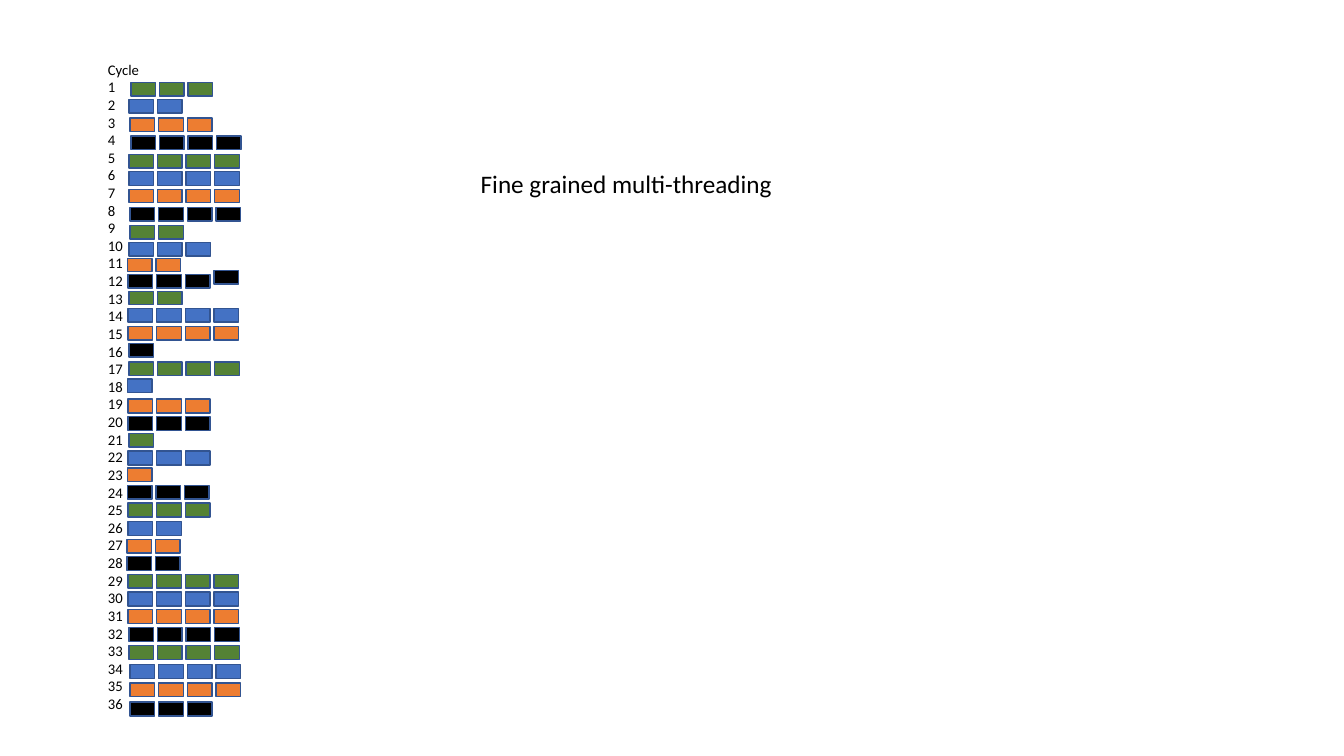
from pptx import Presentation, util as u
from pptx.dml.color import RGBColor
from pptx.enum import shapes, text

GREEN = RGBColor(0x54, 0x82, 0x35)
BLUE = RGBColor(0x44, 0x72, 0xC4)
ORANGE = RGBColor(0xED, 0x7D, 0x31)
BLACK = RGBColor(0, 0, 0)
OUTLINE = RGBColor(0x32, 0x54, 0x91)
THREADS = [GREEN, BLUE, ORANGE, BLACK]  # threads take turns, one per cycle
FONT = "Calibri"

# Per cycle: instructions issued, then offset right and down in the grid (cm)
FIRST_CYCLES = [
    (3, 0.10, 0), (2, 0.05, 0.43), (3, 0.08, 0.89), (4, 0.10, 1.35),
    (4, 0.05, 1.82), (4, 0.05, 2.25), (4, 0.05, 2.69), (4, 0.08, 3.15),
    (2, 0.08, 3.60), (3, 0.05, 4.03), (2, 0.01, 4.43), (4, 0.03, 4.84),
    (2, 0.05, 5.26), (4, 0.03, 5.70), (4, 0.03, 6.15), (1, 0.05, 6.58),
    (4, 0.05, 7.04), (1, 0.01, 7.47),
]
LATER_CYCLES = [
    (3, 0.03, 7.98), (3, 0.03, 8.42), (1, 0.05, 8.84), (3, 0.03, 9.29),
    (1, 0.01, 9.71), (3, 0.01, 10.15), (3, 0.03, 10.60), (2, 0.03, 11.06),
    (2, 0, 11.51), (2, 0, 11.95), (4, 0.03, 12.39), (4, 0.03, 12.84),
    (4, 0.03, 13.28), (4, 0.05, 13.73), (4, 0.05, 14.19), (4, 0.08, 14.67),
    (4, 0.08, 15.13), (3, 0.08, 15.61),
]
RAISED_SLOTS = {(12, 3): 0.10}  # (cycle, slot): how far it sits above its row
SLOT_PITCH, SLOT_WIDTH = 0.72, 0.62


def add_run(paragraph, words, size):
    run = paragraph.add_run()
    run.text = words
    run.font.name = FONT
    run.font.size = u.Pt(size)
    run.font.color.rgb = BLACK


def add_heading(slide, left, top, width, height):
    heading = slide.shapes.title
    heading.left, heading.top = u.Cm(left), u.Cm(top)
    heading.width, heading.height = u.Cm(width), u.Cm(height)
    frame = heading.text_frame
    frame.auto_size = text.MSO_AUTO_SIZE.NONE
    frame.word_wrap = False
    frame.vertical_anchor = text.MSO_ANCHOR.TOP
    paragraph = frame.paragraphs[0]
    paragraph.alignment = text.PP_ALIGN.LEFT
    paragraph.line_spacing = 1.0
    add_run(paragraph, "Fine grained multi-threading", 18)


def add_issue_slots(slide, left, top, first_cycle, cycles, slot_height):
    group = slide.shapes.add_group_shape()
    for cycle, (issued, right, down) in enumerate(cycles, first_cycle):
        for column in range(issued):
            raised = RAISED_SLOTS.get((cycle, column), 0)
            slot = group.shapes.add_shape(
                shapes.MSO_SHAPE.RECTANGLE,
                u.Cm(left + right + column * SLOT_PITCH),
                u.Cm(top + down - raised),
                u.Cm(SLOT_WIDTH), u.Cm(slot_height))
            slot.shadow.inherit = False
            slot.fill.solid()
            slot.fill.fore_color.rgb = THREADS[(cycle - 1) % len(THREADS)]
            slot.line.color.rgb = OUTLINE
            slot.line.width = u.Pt(1)


def add_cycle_numbers(slide, left, top, width, height):
    numbers = slide.shapes.add_textbox(
        u.Cm(left), u.Cm(top), u.Cm(width), u.Cm(height))
    frame = numbers.text_frame
    frame.word_wrap = False
    add_run(frame.paragraphs[0], "Cycle", 10.5)
    for cycle in range(1, len(FIRST_CYCLES + LATER_CYCLES) + 1):
        add_run(frame.add_paragraph(), str(cycle), 10.5)


def main():
    deck = Presentation()
    deck.slide_width, deck.slide_height = u.Cm(33.87), u.Cm(19.05)
    slide = deck.slides.add_slide(deck.slide_layouts[5])

    # Issue slots used in each cycle, in two halves
    add_issue_slots(slide, 3.2, 2.08, 1, FIRST_CYCLES, 0.34)
    add_issue_slots(slide, 3.2, 2.08, len(FIRST_CYCLES) + 1, LATER_CYCLES, 0.35)
    # Cycle numbers
    add_cycle_numbers(slide, 2.47, 1.4, 1.4, 16.87)
    # Heading
    add_heading(slide, 11.86, 4.11, 7.95, 1.02)

    deck.save("out.pptx")


if __name__ == "__main__":
    main()
